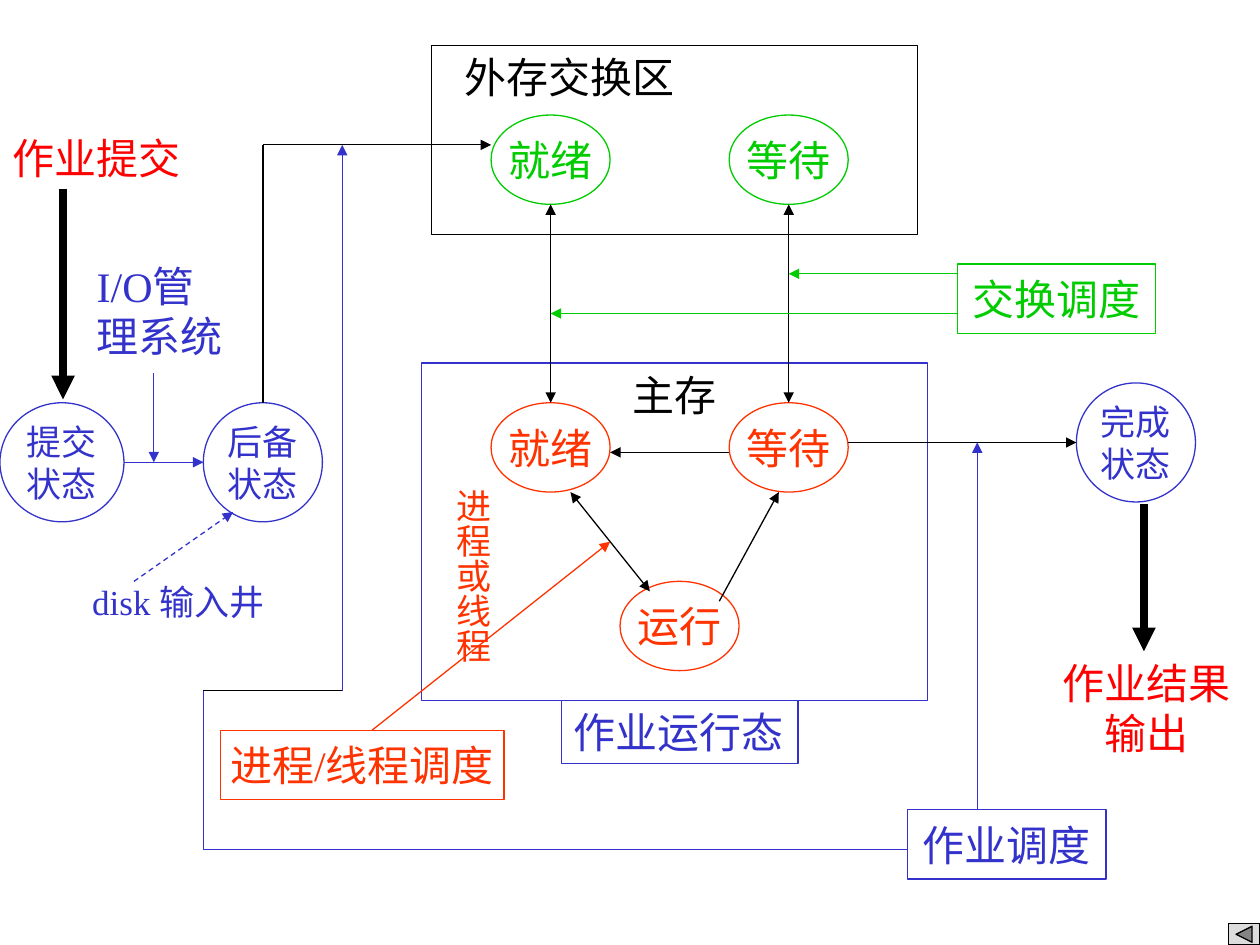
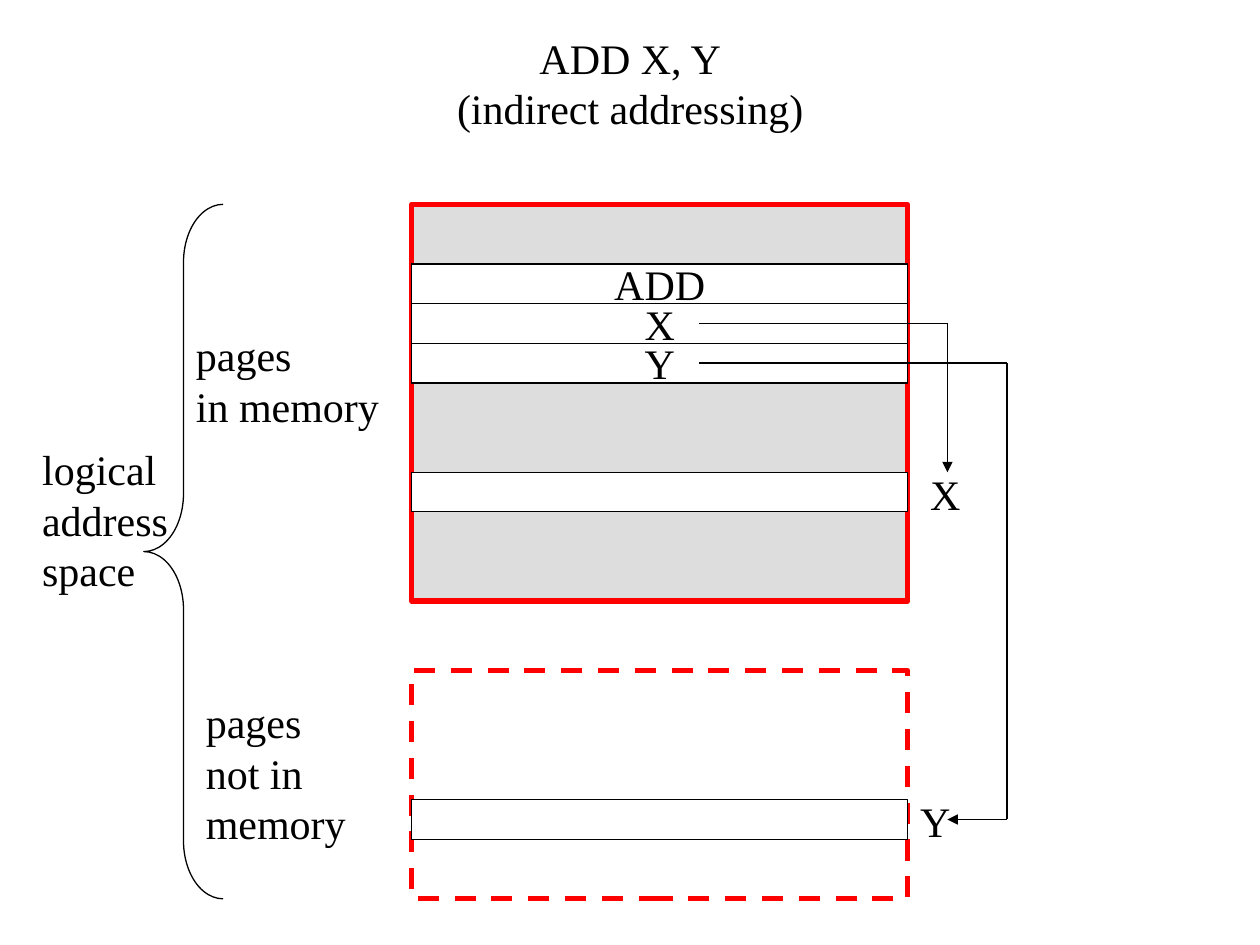
from itertools import pairwise

from pptx import Presentation
from pptx.dml.color import RGBColor
from pptx.enum.dml import MSO_LINE
from pptx.enum.shapes import MSO_CONNECTOR, MSO_SHAPE
from pptx.enum.text import MSO_ANCHOR, MSO_AUTO_SIZE, PP_ALIGN
from pptx.oxml.ns import qn
from pptx.util import Cm, Pt
from lxml.etree import SubElement

BLACK = RGBColor(0x00, 0x00, 0x00)
WHITE = RGBColor(0xFF, 0xFF, 0xFF)
BLUE = RGBColor(0x33, 0x33, 0xCC)
GREEN = RGBColor(0x00, 0xCC, 0x00)
ORANGE = RGBColor(0xFF, 0x33, 0x00)
RED = RGBColor(0xFF, 0x00, 0x00)
GREY = RGBColor(0xDD, 0xDD, 0xDD)

SERIF = "Times New Roman"
SANS = "Roboto"
THIN, FRAME, THICK = 0.75, 3, 4.5

STATE_W, STATE_H = 2.4, 1.8      # ovals inside the storage areas
STATE_STEP = 4.8                 # from "ready" to "waiting"
STAGE = 2.4                      # round job stages
SCHEDULER_H = 1.4
PAGE_W, ROW_H = 10, 0.8


def write(frame, text, color, size=24, font=SERIF, align=PP_ALIGN.LEFT):
    frame.text = text
    for paragraph in frame.paragraphs:
        paragraph.alignment = align
        paragraph.font.size = Pt(size)
        paragraph.font.name = font
        paragraph.font.color.rgb = color


def label(slide, left, top, width, height, text, color=BLACK, wrap=False, **style):
    box = slide.shapes.add_textbox(Cm(left), Cm(top), Cm(width), Cm(height))
    frame = box.text_frame
    frame.word_wrap = wrap
    frame.auto_size = MSO_AUTO_SIZE.SHAPE_TO_FIT_TEXT
    write(frame, text, color, **style)
    return box


def outline(slide, kind, left, top, width, height, color, fill=WHITE, weight=THIN):
    shape = slide.shapes.add_shape(kind, Cm(left), Cm(top), Cm(width), Cm(height))
    shape.shadow.inherit = False
    shape.line.color.rgb = color
    shape.line.width = Pt(weight)
    if fill is None:
        shape.fill.background()
    else:
        shape.fill.solid()
        shape.fill.fore_color.rgb = fill
    return shape


def node(slide, kind, left, top, width, height, text, color, size=24):
    """Outlined shape with centred text in the colour of its line."""
    shape = outline(slide, kind, left, top, width, height, color)
    frame = shape.text_frame
    frame.word_wrap = False
    frame.vertical_anchor = MSO_ANCHOR.MIDDLE
    write(frame, text, color, size, align=PP_ALIGN.CENTER)


def route(slide, points, color=BLACK, weight=THIN, start=False, end=True, dashed=False):
    """Straight segments through the points, with arrowheads at the ends asked for."""
    segments = list(pairwise(points))
    for index, ((x1, y1), (x2, y2)) in enumerate(segments):
        line = slide.shapes.add_connector(
            MSO_CONNECTOR.STRAIGHT, Cm(x1), Cm(y1), Cm(x2), Cm(y2))
        line.line.color.rgb = color
        line.line.width = Pt(weight)
        if dashed:
            line.line.dash_style = MSO_LINE.DASH
        properties = line._element.spPr
        ln = properties.find(qn("a:ln"))
        if start and index == 0:
            SubElement(ln, qn("a:headEnd"), type="triangle")
        if end and index == len(segments) - 1:
            SubElement(ln, qn("a:tailEnd"), type="triangle")
        SubElement(properties, qn("a:effectLst"))


# Job states

def state(slide, left, top, text, color):
    node(slide, MSO_SHAPE.OVAL, left, top, STATE_W, STATE_H, text, color)


def stage(slide, left, top, text, width=STAGE):
    node(slide, MSO_SHAPE.OVAL, left, top, width, STAGE, text, BLUE, 20)


def scheduler(slide, left, top, text, color, width=4):
    node(slide, MSO_SHAPE.RECTANGLE, left, top, width, SCHEDULER_H, text, color)


def swap_area(slide, left, top):
    for index, text in enumerate(("就绪", "等待")):
        state(slide, left + 1.2 + index * STATE_STEP, top + 1.4, text, GREEN)
    outline(slide, MSO_SHAPE.RECTANGLE, left, top, 9.8, 3.81, BLACK, None)
    label(slide, left + 0.42, top, 4.9, 1.27, "外存交换区")


def main_memory(slide, left, top):
    for dx, dy, text in ((1.4, 0.8, "就绪"), (1.4 + STATE_STEP, 0.8, "等待"),
                         (4, 4.4, "运行")):
        state(slide, left + dx, top + dy, text, ORANGE)
    outline(slide, MSO_SHAPE.RECTANGLE, left, top, 10.2, 6.8, BLUE, None)
    label(slide, left + 4, top, 2.3, 1.27, "主存")
    running = label(slide, left + 2.82, top + 6.8, 4.77, 1.27, "作业运行态", BLUE)
    running.line.color.rgb = BLUE
    running.line.width = Pt(THIN)

    route(slide, [(left + 3, top + 2.6), (left + 4.6, top + 4.6)], start=True)
    route(slide, [(left + 6.2, top + 1.8), (left + 3.8, top + 1.8)])
    route(slide, [(left + 6, top + 4.8), (left + 7.2, top + 2.6)])

    unit = label(slide, left + 0.24, top + 2.28, 1.35, 4.06, "进程或线程", ORANGE, size=20)
    frame = unit.text_frame
    frame.margin_left = frame.margin_right = Cm(0.13)
    frame.margin_top = frame.margin_bottom = Cm(0.25)
    frame._txBody.bodyPr.set("vert", "eaVert")


def job_entry(slide, left, top, ready_left, ready_y):
    """From submission to the standby state, then on to the swapped ready state."""
    middle = top + STAGE / 2
    standby = left + 4.1
    stage(slide, left, top, "提交\n状态", 2.5)
    stage(slide, standby, top, "后备\n状态")
    route(slide, [(left + 2.5, middle), (standby, middle)], BLUE)
    route(slide, [(standby + STAGE / 2, top), (standby + STAGE / 2, ready_y),
                  (ready_left, ready_y)])
    route(slide, [(left + 3.1, top - 0.6), (left + 3.1, middle)], BLUE)
    label(slide, left + 1.7, top - 3, 3.1, 2.29, "I/O管\n理系统", BLUE)
    route(slide, [(left + 2.7, top + 3.6), (left + 4.7, top + 2.2)], BLUE, dashed=True)
    label(slide, left + 1.61, top + 3.46, 4.4, 1.12, "disk 输入井", BLUE, size=20)
    route(slide, [(left + 1.27, top - 4.31), (left + 1.27, top - 0.07)], weight=THICK)
    label(slide, left, top - 5.58, 3.95, 1.27, "作业提交", RED, font=SANS)


def job_exit(slide, left, top, waiting_right):
    middle = top + STAGE / 2
    stage(slide, left, top, "完成\n状态")
    route(slide, [(waiting_right, middle), (left, middle)])
    route(slide, [(left + 1.36, top + 2.44), (left + 1.36, top + 5.41)], weight=THICK)
    label(slide, left - 0.56, top + 5.41, 3.95, 2.29, "作业结果\n输出", RED,
          font=SANS, align=PP_ALIGN.CENTER)


def swap_scheduling(slide, left, top, ready_x, waiting_x):
    scheduler(slide, left, top, "交换调度", GREEN)
    for target, dy in ((waiting_x, 0.2), (ready_x, 1)):
        route(slide, [(left, top + dy), (target, top + dy)], GREEN)


def process_scheduling(slide, left, top):
    scheduler(slide, left, top, "进程/线程调度", ORANGE, 5.72)
    route(slide, [(left + 3.06, top), (left + 7.86, top - 3.8)], ORANGE)


def job_scheduling(slide, left, top, exit_y, entry_y):
    scheduler(slide, left, top, "作业调度", BLUE)
    route(slide, [(left + 1.4, top), (left + 1.4, exit_y)], BLUE)
    outer, inner = left - 14.2, left - 11.4
    low, high = top + 0.8, top - 2.4
    route(slide, [(left, low), (outer, low), (outer, high)], BLUE, end=False)
    route(slide, [(outer, high), (inner, high)], end=False)
    route(slide, [(inner, high), (inner, entry_y)], BLUE)


def job_states_slide(slide):
    ready_left, swap_y, memory_y = 9.9, 2.32, 8.12
    waiting_left = ready_left + STATE_STEP
    ready_x, waiting_x = ready_left + STATE_W / 2, waiting_left + STATE_W / 2
    entry_y, exit_y = 2.92, 8.92

    swap_area(slide, 8.7, 0.92)
    main_memory(slide, 8.5, 7.32)
    for x in (ready_x, waiting_x):
        route(slide, [(x, swap_y + STATE_H), (x, memory_y)], start=True)
    job_entry(slide, 0, memory_y, ready_left, entry_y)
    job_exit(slide, 21.7, exit_y - STAGE / 2, waiting_left + STATE_W)
    swap_scheduling(slide, 19.3, 5.32, ready_x, waiting_x)
    process_scheduling(slide, 4.44, 14.72)
    job_scheduling(slide, 18.3, 16.32, exit_y, entry_y)
    outline(slide, MSO_SHAPE.ACTION_BUTTON_BACK_OR_PREVIOUS,
            24.76, 18.62, 0.64, 0.43, BLACK, GREY)


# Indirect addressing

def row(slide, left, top, text=""):
    node(slide, MSO_SHAPE.RECTANGLE, left, top, PAGE_W, ROW_H, text, BLACK)


def resident_pages(slide, left, top):
    outline(slide, MSO_SHAPE.RECTANGLE, left, top, PAGE_W, 8, RED, GREY, FRAME)
    for index, text in enumerate(("ADD", "X", "Y")):
        row(slide, left, top + 1.2 + index * ROW_H, text)
    row(slide, left, top + 5.4)
    label(slide, left + 10.2, top + 5.2, 1.12, 1.27, "X")
    label(slide, left - 4.6, top + 2.4, 4.4, 2.29, "pages\nin memory")


def absent_pages(slide, left, top):
    frame = outline(slide, MSO_SHAPE.RECTANGLE, left, top, PAGE_W, 4.6, RED, None, FRAME)
    frame.line.dash_style = MSO_LINE.DASH
    row(slide, left, top + 2.6)
    label(slide, left + 10, top + 2.4, 1.12, 1.27, "Y")
    label(slide, left - 4.4, top + 0.4, 3.4, 3.3, "pages\nnot in\nmemory")


def address_space(slide, left, top, height):
    brace = outline(slide, MSO_SHAPE.LEFT_BRACE, left, top, 1.6, height, BLACK, None)
    brace.adjustments[0] = 0.73
    label(slide, left - 2.3, top + 4.7, 3.05, 3.3, "logical\naddress\nspace", wrap=True)


def addressing_slide(slide):
    left, resident_top, absent_top = 8.3, 4.12, 13.52
    label(slide, 8.96, 0.53, 7.49, 2.29, "ADD X, Y\n(indirect addressing)",
          align=PP_ALIGN.CENTER)
    resident_pages(slide, left, resident_top)
    absent_pages(slide, left, absent_top)
    address_space(slide, 2.9, resident_top, 14)

    start, x_end, y_bend = left + 5.8, left + 10.8, left + 12
    x_row, y_row = resident_top + 2.4, resident_top + 3.2
    y_target = absent_top + 3
    route(slide, [(start, x_row), (x_end, x_row), (x_end, resident_top + 5.4)])
    route(slide, [(start, y_row), (y_bend, y_row), (y_bend, y_target), (x_end, y_target)])


def main():
    deck = Presentation()
    deck.slide_width, deck.slide_height = Cm(25.4), Cm(19.05)
    blank = deck.slide_layouts[6]
    for build in (job_states_slide, addressing_slide):
        build(deck.slides.add_slide(blank))
    deck.save("out.pptx")


if __name__ == "__main__":
    main()
